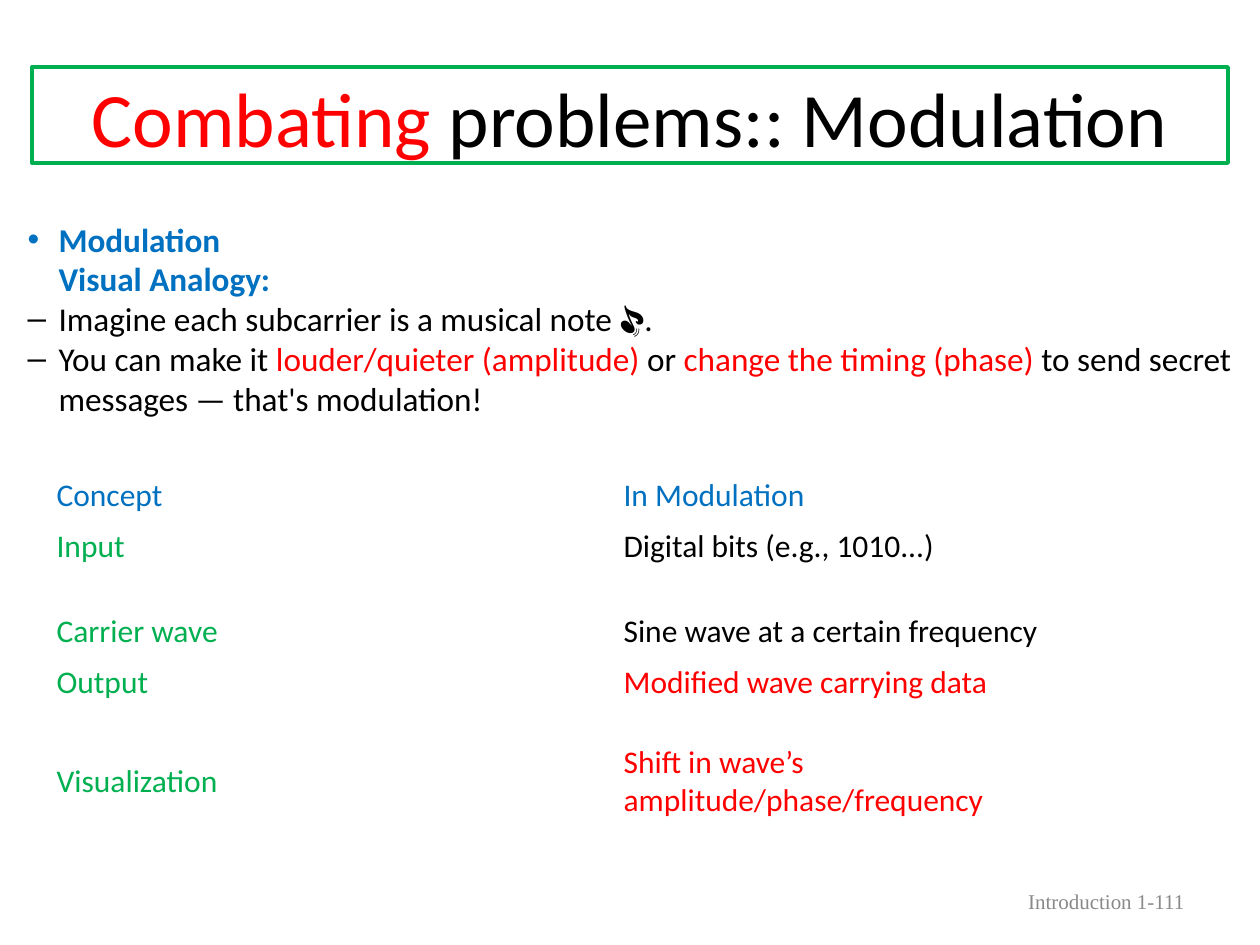
"""Build the slide on modulation with its analogy and concept tables."""
from lxml import etree
from pptx import Presentation, util as u
from pptx.dml.color import RGBColor
from pptx.enum import shapes, text
from pptx.oxml import ns

THEME = {
    "red": "FF0000", "blue": "0070C0", "green": "00B050",
    "black": "000000", "grey": "898989",
    "font": "Calibri", "serif": "Times New Roman",
    "title": 44, "body": 19, "cell": 18, "foot": 12, "line": 2.25,
}

TITLE = [("Combating ", "red"), ("problems:: Modulation", "black")]
POINTS = [
    (0, "•", "blue", [("Modulation", "blue")]),
    (1, None, None, [("Visual Analogy:", "blue")]),
    (1, "–", "black", [("Imagine each subcarrier is a musical note 🎵.", "black")]),
    (1, "–", "black", [
        ("You can make it ", "black"),
        ("louder/quieter (amplitude) ", "red"),
        ("or ", "black"),
        ("change the timing (phase) ", "red"),
        ("to send secret messages — that's modulation!", "black"),
    ]),
]
TABLES = [
    (470, 50, [
        [("Concept", "blue"), ("In Modulation", "blue")],
        [("Input", "green"), ("Digital bits (e.g., 1010...)", "black")],
    ]),
    (606, 50, [
        [("Carrier wave", "green"), ("Sine wave at a certain frequency", "black")],
        [("Output", "green"), ("Modified wave carrying data", "red")],
    ]),
    (737, 88, [
        [("Visualization", "green"), ("Shift in wave’s amplitude/phase/frequency", "red")],
    ]),
]
FOOT = [("Introduction 1-111", "grey")]

LEFT, COL, INDENT = 44, 567, 31


def px(n):
    return u.Emu(round(n * 914400 / 126))


def place(shape, *box):
    shape.left, shape.top, shape.width, shape.height = map(px, box)


def write(para, runs, size, font="font", bold=False):
    for words, tint in runs:
        run = para.add_run()
        run.text = words
        run.font.name = THEME[font]
        run.font.size = u.Pt(THEME[size])
        run.font.bold = bold
        run.font.color.rgb = RGBColor.from_string(THEME[tint])


def bullet(para, mark, tint):
    props = para._p.get_or_add_pPr()
    props.set("marL", str(px(INDENT)))
    props.set("indent", str(-px(INDENT) if mark else 0))
    if not mark:
        etree.SubElement(props, ns.qn("a:buNone"))
        return
    color = etree.SubElement(props, ns.qn("a:buClr"))
    etree.SubElement(color, ns.qn("a:srgbClr"), val=THEME[tint])
    etree.SubElement(props, ns.qn("a:buFont"), typeface="Arial")
    etree.SubElement(props, ns.qn("a:buChar"), char=mark)


def fill_body(body):
    frame = body.text_frame
    frame.auto_size = text.MSO_AUTO_SIZE.NONE
    frame.vertical_anchor = text.MSO_ANCHOR.MIDDLE
    for i, (level, mark, tint, runs) in enumerate(POINTS):
        para = frame.add_paragraph() if i else frame.paragraphs[0]
        para.level = level
        para.space_before = para.space_after = u.Pt(0)
        bullet(para, mark, tint)
        write(para, runs, "body", bold=runs[0][1] == "blue")


def add_grid(slide, top, height, rows):
    cols = len(rows[0])
    box = map(px, (LEFT, top, COL * cols, height * len(rows)))
    table = slide.shapes.add_table(len(rows), cols, *box).table
    table.first_row = table.horz_banding = False
    for r, row in enumerate(rows):
        for c, item in enumerate(row):
            cell = table.cell(r, c)
            cell.fill.background()
            cell.vertical_anchor = text.MSO_ANCHOR.MIDDLE
            write(cell.text_frame.paragraphs[0], [item], "cell")


def main():
    deck = Presentation()
    deck.slide_width, deck.slide_height = px(1260), px(945)
    slide = deck.slides.add_slide(deck.slide_layouts[1])
    title, body = slide.placeholders

    place(title, 63, 38, 1134, 158)
    frame = title.text_frame
    frame.auto_size = text.MSO_AUTO_SIZE.NONE
    frame.vertical_anchor = text.MSO_ANCHOR.MIDDLE
    frame.paragraphs[0].alignment = text.PP_ALIGN.CENTER
    write(frame.paragraphs[0], TITLE, "title")

    place(body, 15, 212, 1245, 213)
    fill_body(body)

    for grid in TABLES:
        add_grid(slide, *grid)

    foot = slide.shapes.add_textbox(*map(px, (751, 876, 446, 50))).text_frame
    foot.word_wrap = True
    foot.vertical_anchor = text.MSO_ANCHOR.MIDDLE
    foot.paragraphs[0].alignment = text.PP_ALIGN.RIGHT
    write(foot.paragraphs[0], FOOT, "foot", "serif")

    border = slide.shapes.add_shape(
        shapes.MSO_SHAPE.RECTANGLE, *map(px, (32, 67, 1196, 96)))
    border.shadow.inherit = False
    border.fill.background()
    border.line.color.rgb = RGBColor.from_string(THEME["green"])
    border.line.width = u.Pt(THEME["line"])

    deck.save("out.pptx")


if __name__ == "__main__":
    main()
